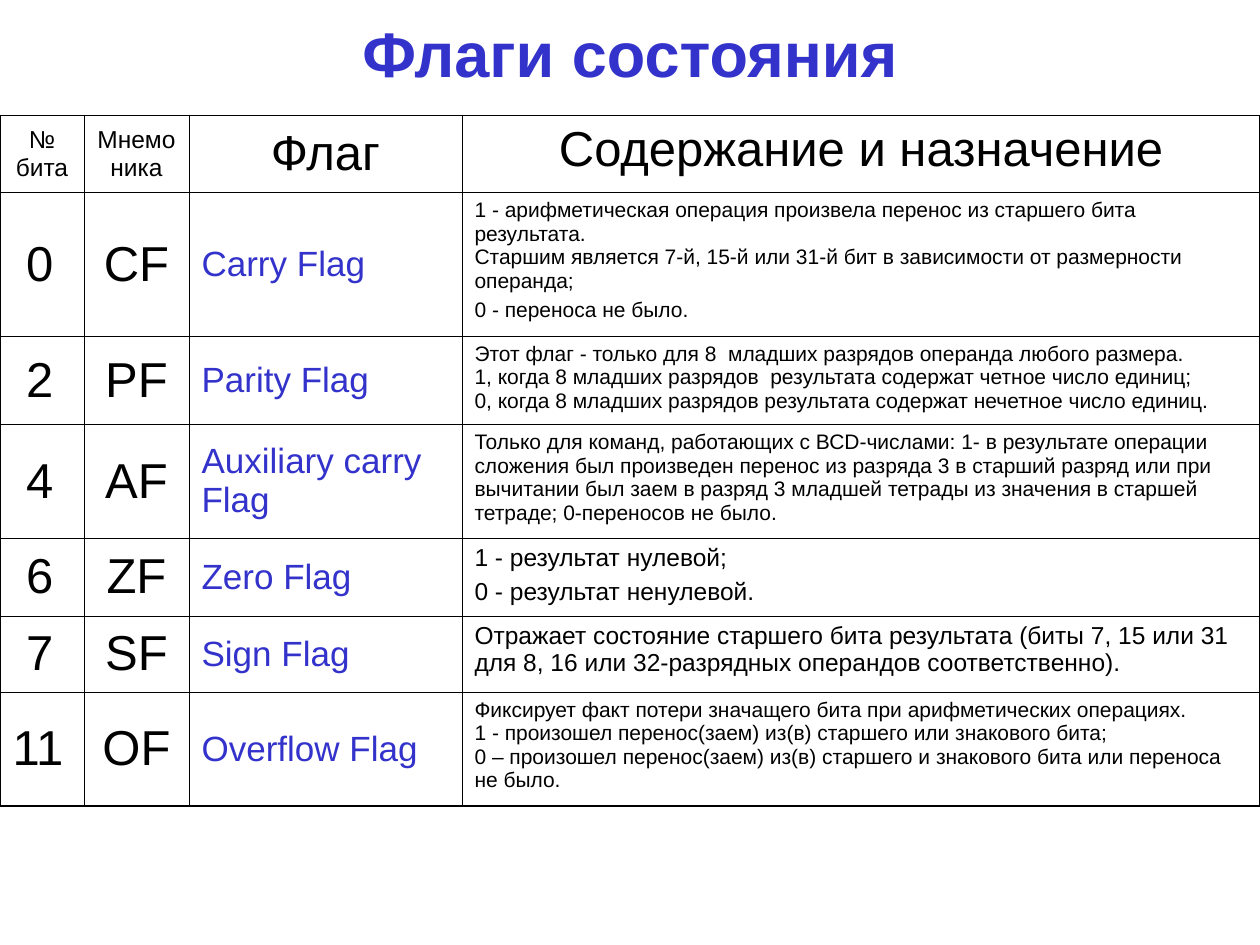
from copy import deepcopy
from dataclasses import dataclass

from lxml.etree import SubElement
from pptx import Presentation
from pptx.dml.color import RGBColor
from pptx.enum.text import MSO_ANCHOR as Anchor, PP_ALIGN as Align
from pptx.oxml.ns import qn
from pptx.util import Pt

BLACK, BLUE, WHITE = "000000", "3333CC", "FFFFFF"
THIN, THICK = 0.45, 1.08
COLUMN_WIDTHS = (48, 60, 156, 456)
TABLE_TOP = 66
HEADER_HEIGHT = 44


@dataclass(frozen=True)
class Style:
    size: float
    color: str = BLACK
    align: Align = Align.LEFT
    anchor: Anchor = Anchor.MIDDLE
    bold: bool = False


@dataclass(frozen=True)
class Flag:
    bit: str
    mnemonic: str
    name: str
    height: float
    size: float
    meaning: tuple[str, ...]


BIT = Style(28)
MNEMONIC = Style(28, align=Align.CENTER)
NAME = Style(20, BLUE)
TITLE = Style(36, BLUE, Align.CENTER, bold=True)
SMALL_HEAD = Style(14, align=Align.CENTER)
TOP_HEAD = Style(28, align=Align.CENTER, anchor=Anchor.TOP)

HEADERS = (
    ("№ бита", SMALL_HEAD),
    ("Мнемоника", SMALL_HEAD),
    ("Флаг", MNEMONIC),
    ("Содержание и назначение", TOP_HEAD),
)

FLAGS = (
    Flag(" 0", "CF", "Carry Flag", 82, 12, (
        "1 - арифметическая операция произвела перенос из старшего бита результата.\n"
        "Старшим является 7-й, 15-й или 31-й бит в зависимости от размерности операнда;",
        "0 - переноса не было.")),
    Flag(" 2", "PF", "Parity Flag", 50.5, 12, (
        "Этот флаг - только для 8  младших разрядов операнда любого размера.\n"
        "1, когда 8 младших разрядов  результата содержат четное число единиц;\n"
        "0, когда 8 младших разрядов результата содержат нечетное число единиц.",)),
    Flag(" 4", "AF", "Auxiliary carry Flag", 65, 12, (
        "Только для команд, работающих с ВСD-числами: 1- в результате операции "
        "сложения был произведен перенос из разряда 3 в старший разряд или при "
        "вычитании был заем в разряд 3 младшей тетрады из значения в старшей "
        "тетраде; 0-переносов не было.",)),
    Flag(" 6", "ZF", "Zero Flag", 44.5, 14, (
        "1 - результат нулевой;", "0 - результат ненулевой.")),
    Flag(" 7", "SF", "Sign Flag", 43.5, 14, (
        "Отражает состояние старшего бита результата (биты 7, 15 или 31 "
        "для 8, 16 или 32-разрядных операндов соответственно).",)),
    Flag("11", "OF", "Overflow Flag", 65, 12, (
        "Фиксирует факт потери значащего бита при арифметических операциях.\n"
        "1 - произошел перенос(заем) из(в) старшего или знакового бита;\n"
        "0 – произошел перенос(заем) из(в) старшего и знакового бита или переноса не было.",)),
)


def rgb(color: str) -> RGBColor:
    return RGBColor.from_string(color)


def set_all(target, values: dict) -> None:
    for name, value in values.items():
        setattr(target, name, value)


def write(frame, texts: tuple[str, ...], style: Style, before: float) -> None:
    for index, text in enumerate(texts):
        para = frame.add_paragraph() if index else frame.paragraphs[0]
        para.text = text
        set_all(para, {"alignment": style.align, "space_before": Pt(before)})
        for span in para.runs:
            set_all(span.font, {"name": "Arial", "size": Pt(style.size), "bold": style.bold})
            span.font.color.rgb = rgb(style.color)
        for line_break in para._p.findall(qn("a:br")):
            line_break.append(deepcopy(para.runs[0]._r.rPr))


def draw_border(cell, side: str, width: float) -> None:
    line = SubElement(cell._tc.get_or_add_tcPr(), qn(f"a:ln{side}"), w=str(Pt(width)))
    SubElement(SubElement(line, qn("a:solidFill")), qn("a:srgbClr"), val=BLACK)


def fill_cell(table, row: int, column: int, texts: tuple[str, ...], style: Style) -> None:
    cell = table.cell(row, column)
    set_all(cell, {
        "vertical_anchor": style.anchor,
        "margin_left": Pt(7.2), "margin_right": Pt(7.2),
        "margin_top": Pt(3.6), "margin_bottom": Pt(3.6),
    })
    outer_sides = {
        "L": column == 0,
        "R": column == len(COLUMN_WIDTHS) - 1,
        "T": row == 0,
        "B": row == len(FLAGS),
    }
    for side, is_outer in outer_sides.items():
        draw_border(cell, side, THICK if is_outer else THIN)
    cell.fill.solid()
    cell.fill.fore_color.rgb = rgb(WHITE)
    write(cell.text_frame, texts, style, style.size / 4)


def draw_title(page) -> None:
    title = page.shapes.title
    set_all(title, {"left": Pt(54), "top": Pt(6), "width": Pt(612), "height": Pt(48)})
    set_all(title.text_frame, {"word_wrap": True, "vertical_anchor": TITLE.anchor})
    write(title.text_frame, ("Флаги состояния",), TITLE, 0)


def draw_table(page) -> None:
    heights = (HEADER_HEIGHT, *(flag.height for flag in FLAGS))
    table = page.shapes.add_table(
        len(heights), len(COLUMN_WIDTHS), Pt(0), Pt(TABLE_TOP),
        Pt(sum(COLUMN_WIDTHS)), Pt(sum(heights))).table
    set_all(table, {"first_row": False, "horz_banding": False})
    for column, width in zip(table.columns, COLUMN_WIDTHS):
        column.width = Pt(width)
    for row, height in zip(table.rows, heights):
        row.height = Pt(height)
    for column, (text, style) in enumerate(HEADERS):
        fill_cell(table, 0, column, (text,), style)
    for row, flag in enumerate(FLAGS, start=1):
        contents = (
            ((flag.bit,), BIT),
            ((flag.mnemonic,), MNEMONIC),
            ((flag.name,), NAME),
            (flag.meaning, Style(flag.size, anchor=Anchor.TOP)),
        )
        for column, (texts, style) in enumerate(contents):
            fill_cell(table, row, column, texts, style)


def main() -> None:
    deck = Presentation()
    set_all(deck, {"slide_width": Pt(720), "slide_height": Pt(540)})
    page = deck.slides.add_slide(deck.slide_layouts[5])
    draw_title(page)
    draw_table(page)
    deck.save("out.pptx")


if __name__ == "__main__":
    main()
